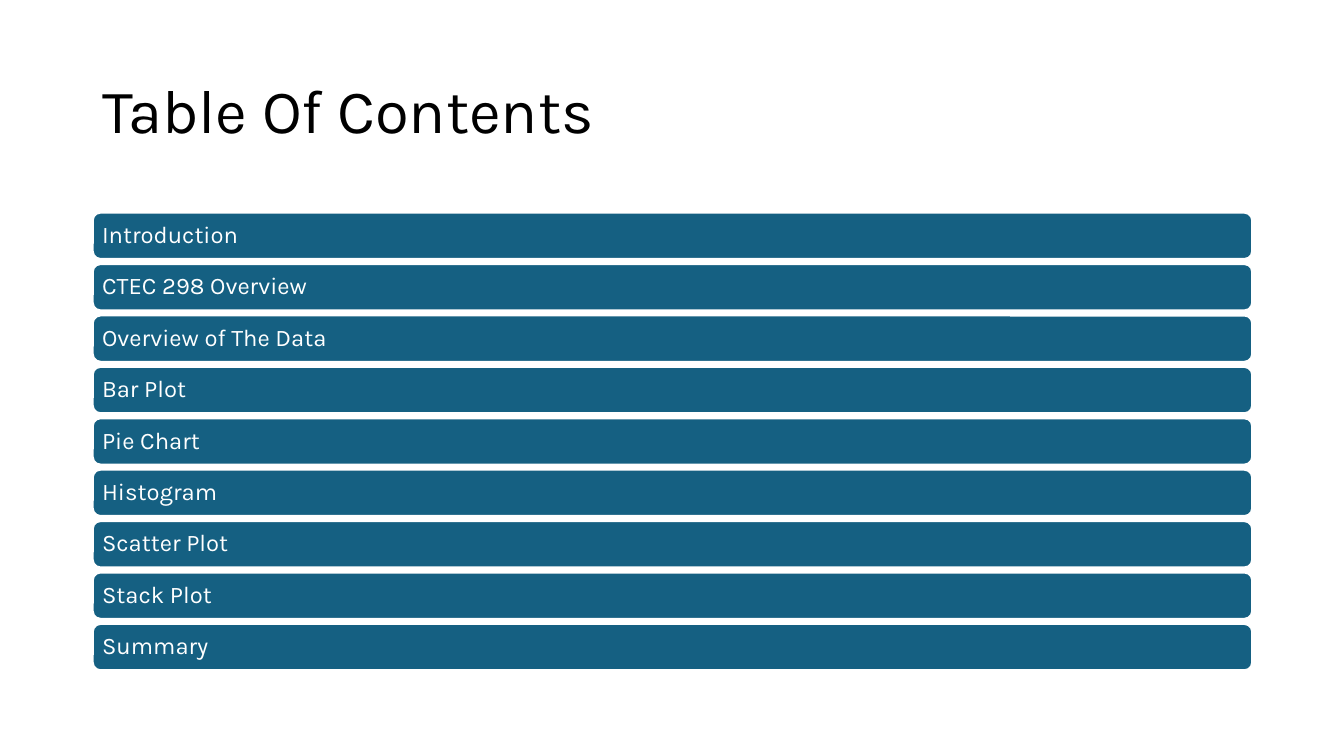
from dataclasses import dataclass

from pptx import Presentation
from pptx.dml.color import RGBColor
from pptx.enum.shapes import MSO_SHAPE
from pptx.enum.text import MSO_ANCHOR, MSO_AUTO_SIZE, PP_ALIGN
from pptx.slide import Slide
from pptx.text.text import TextFrame
from pptx.util import Inches, Pt

COLORS = {"ink": "000000", "bar": "156082", "white": "FFFFFF"}
FONT = "Karla"
LEFT, WIDTH = 0.92, 11.5
TOP, STEP, HEIGHT = 2.11, 0.51, 0.46
INSET = 0.07
TOPICS = [
    "Introduction",
    "CTEC 298 Overview",
    "Overview of The Data",
    "Bar Plot",
    "Pie Chart",
    "Histogram",
    "Scatter Plot",
    "Stack Plot",
    "Summary",
]


@dataclass
class Bar:
    label: str
    top: float


def color(name: str) -> RGBColor:
    return RGBColor.from_string(COLORS[name])


def write(frame: TextFrame, text: str, size: float, tone: str) -> None:
    frame.text = text
    frame.word_wrap = True
    frame.auto_size = MSO_AUTO_SIZE.NONE
    frame.vertical_anchor = MSO_ANCHOR.MIDDLE
    line = frame.paragraphs[0]
    line.alignment = PP_ALIGN.LEFT
    line.line_spacing = 0.9
    font = line.runs[0].font
    font.name = FONT
    font.size = Pt(size)
    font.color.rgb = color(tone)


def draw_title(slide: Slide, text: str) -> None:
    title = slide.shapes.title
    title.left, title.top = Inches(LEFT), Inches(0.4)
    title.width, title.height = Inches(WIDTH), Inches(1.45)
    write(title.text_frame, text, 44, "ink")


def draw_bar(slide: Slide, bar: Bar) -> None:
    shape = slide.shapes.add_shape(
        MSO_SHAPE.ROUNDED_RECTANGLE,
        Inches(LEFT), Inches(bar.top), Inches(WIDTH), Inches(HEIGHT),
    )
    shape.shadow.inherit = False
    shape.fill.solid()
    shape.fill.fore_color.rgb = color("bar")
    shape.line.color.rgb = color("white")
    shape.line.width = Pt(1.5)
    frame = shape.text_frame
    frame.margin_left = frame.margin_right = Inches(INSET)
    frame.margin_top = frame.margin_bottom = Inches(INSET)
    write(frame, bar.label, 17, "white")


def main() -> None:
    deck = Presentation()
    deck.slide_width, deck.slide_height = Inches(13.33), Inches(7.5)
    slide = deck.slides.add_slide(deck.slide_layouts[5])
    draw_title(slide, "Table Of Contents")
    for i, label in enumerate(TOPICS):
        draw_bar(slide, Bar(label, TOP + i * STEP))
    deck.save("out.pptx")


if __name__ == "__main__":
    main()
